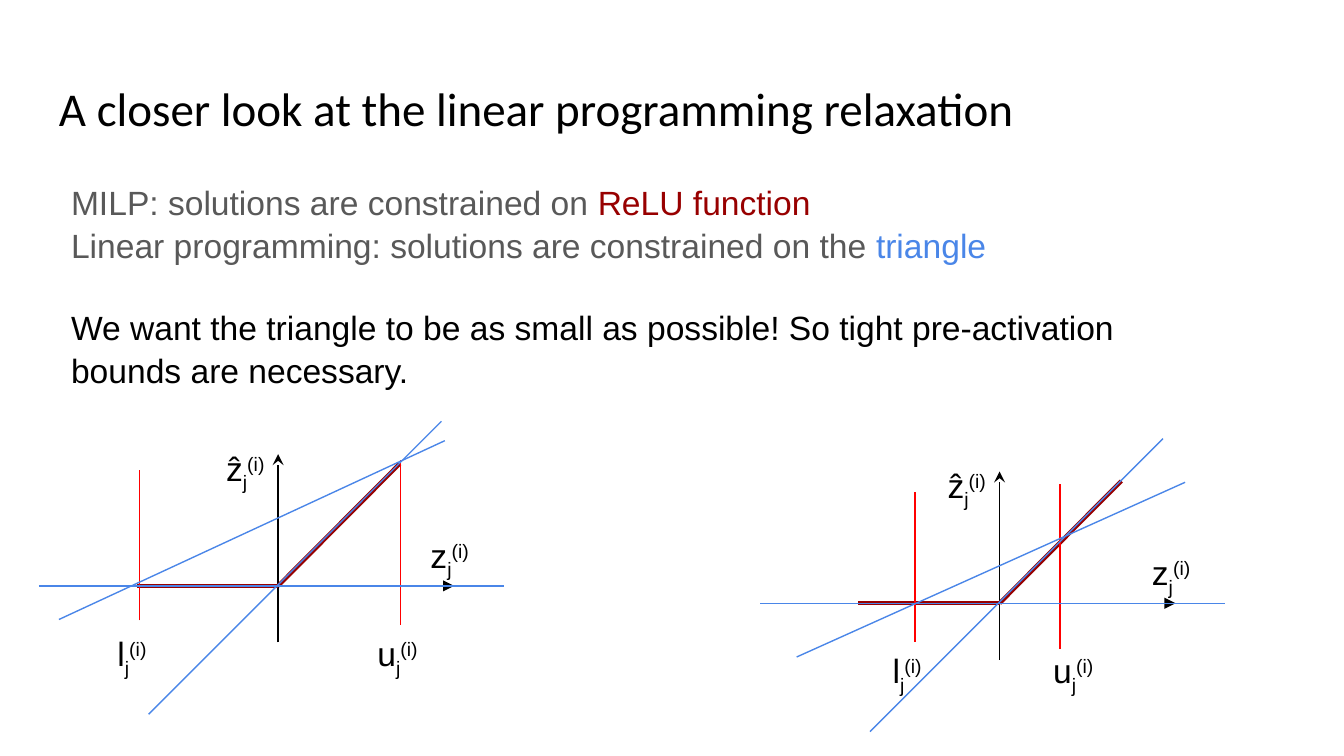
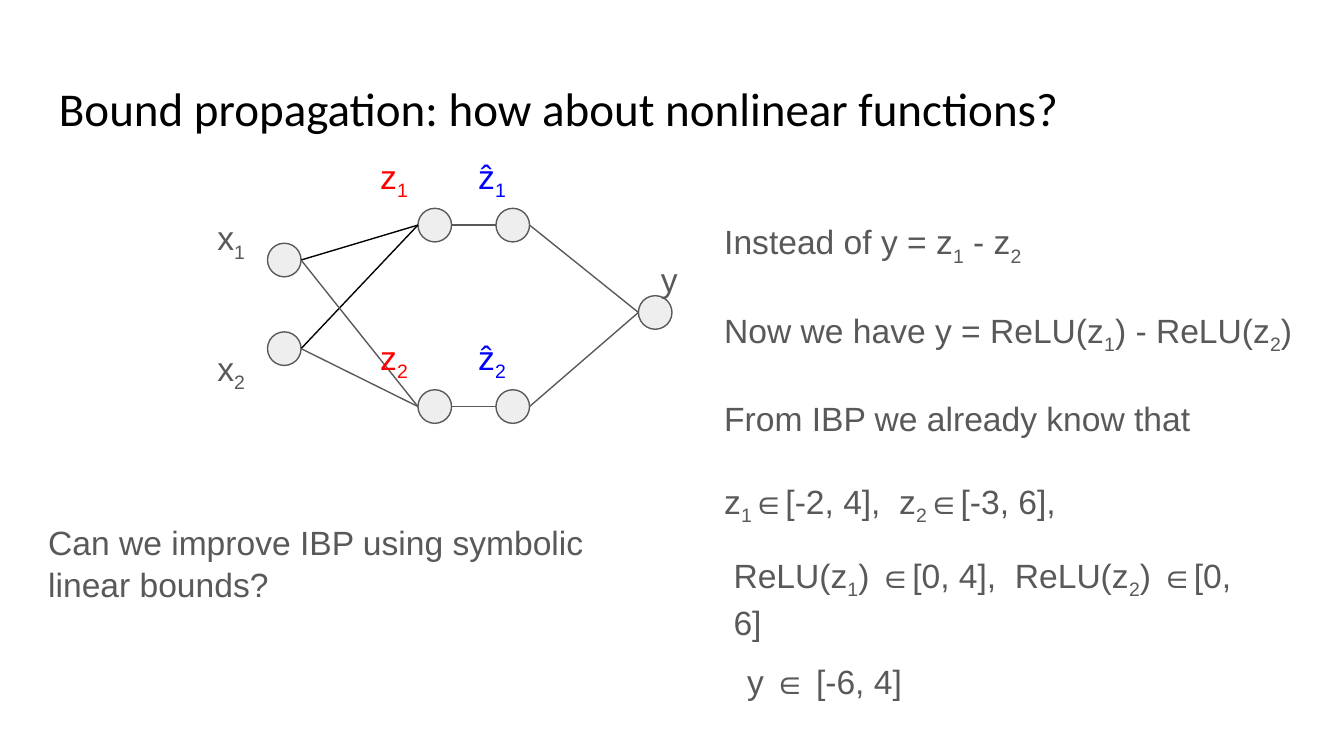
from dataclasses import dataclass
from typing import NamedTuple

from lxml import etree
from pptx import Presentation
from pptx.dml.color import RGBColor
from pptx.enum import shapes, text
from pptx.oxml import ns
from pptx.util import Pt


# Theme
@dataclass(frozen=True)
class Theme:
    black: str = "000000"
    grey: str = "595959"
    node: str = "EEEEEE"
    dark_red: str = "980000"
    red: str = "FF0000"
    sky: str = "4A86E8"
    blue: str = "0000FF"
    title_font: str = "Calibri"
    body_font: str = "Arial"
    title_size: float = 25.2
    body_size: float = 18
    inset: float = 7.2
    thin: float = 0.75
    thick: float = 2.25
    body_spacing: float = 1.05
    label_spacing: float = 1.15
    gap: float = 21.6


T = Theme()
SUB, SUPER = -25000, 30000


class Run(NamedTuple):
    text: str
    color: str = T.grey
    base: int = 0


class Box(NamedTuple):
    x: float
    y: float
    w: float
    h: float


class Point(NamedTuple):
    x: float
    y: float


@dataclass(frozen=True)
class Para:
    runs: list[Run]
    before: float = 0
    after: float = 0
    spacing: float = T.body_spacing


# Text with subscripts: every second part is lowered
def subscripted(*parts: str, color: str = T.grey) -> list[Run]:
    return [Run(part, color, SUB if i % 2 else 0) for i, part in enumerate(parts)]


def indexed(symbol: str) -> list[Run]:
    return [Run(symbol, T.black), Run("j", T.black, SUB), Run("(i)", T.black, SUPER)]


# Drawing helpers
def apply(target, values: dict) -> None:
    for name, value in values.items():
        setattr(target, name, value)


def add_text(s, box: Box, paras: list[Para], font: str = T.body_font,
             size: float = T.body_size) -> None:
    tf = s.shapes.add_textbox(*map(Pt, box)).text_frame
    apply(tf, dict.fromkeys(
        ("margin_left", "margin_top", "margin_right", "margin_bottom"), Pt(T.inset)))
    apply(tf, {"word_wrap": True, "vertical_anchor": text.MSO_ANCHOR.TOP})
    for i, para in enumerate(paras):
        p = tf.add_paragraph() if i else tf.paragraphs[0]
        apply(p, {"space_before": Pt(para.before), "space_after": Pt(para.after),
                  "line_spacing": para.spacing})
        for run in para.runs:
            r = p.add_run()
            r.text = run.text
            apply(r.font, {"name": font, "size": Pt(size)})
            r.font.color.rgb = RGBColor.from_string(run.color)
            if run.base:
                r.font._element.set("baseline", str(run.base))


def add_line(s, start: Point, end: Point, color: str, width: float = T.thin,
             arrow: str = "") -> None:
    sp = s.shapes.add_connector(shapes.MSO_CONNECTOR.STRAIGHT, *map(Pt, start + end))
    sp.line.width = Pt(width)
    sp.line.color.rgb = RGBColor.from_string(color)
    if arrow:
        etree.SubElement(sp.line._get_or_add_ln(), ns.qn("a:tailEnd"), type=arrow)
    etree.SubElement(sp._element.spPr, ns.qn("a:effectLst"))


def add_title_slide(prs, title: str):
    s = prs.slides.add_slide(prs.slide_layouts[6])
    add_text(s, Box(24.5, 35.3, 671, 45.4), [Para([Run(title, T.black)], spacing=1.0)],
             T.title_font, T.title_size)
    return s


# ReLU plots: offsets are measured from the origin of the axes
@dataclass(frozen=True)
class Plot:
    origin: Point
    lower: float
    upper: float
    lower_top: float
    upper_top: float
    upper_label: float
    chord: tuple[Point, Point]


LOWER_LENGTH, UPPER_LENGTH = 80.4, 88.6
PLOTS = [
    Plot(Point(149, 313.9), -74.2, 65.5, -61.9, -67.7, 46.1,
         (Point(-117.4, 18), Point(89.3, -77.8))),
    Plot(Point(535.5, 323.2), -45.4, 32.4, -59.8, -64.1, 21.6,
         (Point(-108.7, 28.8), Point(99.4, -64.8))),
]


def add_plot(s, plot: Plot) -> None:
    def line(start: tuple, end: tuple, *style) -> None:
        ends = [Point(plot.origin.x + x, plot.origin.y + y) for x, y in (start, end)]
        add_line(s, *ends, *style)

    # Axes and the ReLU function
    line((-93, 0), (94.3, 0), T.black, T.thin, "triangle")
    line((0, 30.2), (0, -70.6), T.black, T.thin, "stealth")
    line((-75.6, 0), (0, 0), T.dark_red, T.thick)
    line((0, 0), (65.2, -65.5), T.dark_red, T.thick)

    # Pre-activation bounds
    for x, top, length in ((plot.lower, plot.lower_top, LOWER_LENGTH),
                           (plot.upper, plot.upper_top, UPPER_LENGTH)):
        line((x, top + length), (x, top), T.red)

    # Labels
    for symbol, x, y in (("ẑ", -35, -85), ("z", 74.5, -38.2),
                         ("l", plot.lower - 19, 14.4), ("u", plot.upper_label, 14.4)):
        add_text(s, Box(plot.origin.x + x, plot.origin.y + y, 38, 36),
                 [Para(indexed(symbol), after=12, spacing=T.label_spacing)])

    # Sides of the triangle
    line((-128.2, 0), (121, 0), T.sky)
    line((-69.4, 68.8), (87.5, -88.2), T.sky)
    line(*plot.chord, T.sky)


def build_relaxation(prs) -> None:
    s = add_title_slide(prs, "A closer look at the linear programming relaxation")
    add_text(s, Box(31, 89.3, 602.6, 65.5), [
        Para([Run("MILP: solutions are constrained on "),
              Run("ReLU function", T.dark_red)]),
        Para([Run("Linear programming: solutions are constrained on the "),
              Run("triangle", T.sky)]),
        Para([Run("We want the triangle to be as small as possible! So tight "
                  "pre-activation bounds are necessary.", T.black)], before=T.gap),
    ])
    for plot in PLOTS:
        add_plot(s, plot)


# Network: top left corners of the nodes
NODE = 18
NODES = {
    "x1": Point(143.3, 130.3), "x2": Point(143.3, 177.8),
    "z1": Point(223.9, 111.6), "z2": Point(223.9, 208.8),
    "ẑ1": Point(265.7, 111.6), "ẑ2": Point(265.7, 208.8),
    "y": Point(342, 158.4),
}
EDGES = [
    ("x1", "z1", T.black), ("x2", "z1", T.black),
    ("x2", "z2", T.grey), ("x1", "z2", T.grey),
    ("z1", "ẑ1", T.grey), ("z2", "ẑ2", T.grey),
    ("ẑ1", "y", T.grey), ("ẑ2", "y", T.grey),
]
LABELS = [
    ("x", T.grey, 109.4, (108, 177.8)),
    ("z", T.red, 196.6, (74.9, 172.1)),
    ("ẑ", T.blue, 249.1, (74.9, 172.1)),
]


def add_network(s) -> None:
    for x, y in NODES.values():
        sp = s.shapes.add_shape(shapes.MSO_SHAPE.OVAL, *map(Pt, (x, y, NODE, NODE)))
        sp.shadow.inherit = False
        sp.fill.solid()
        sp.fill.fore_color.rgb = RGBColor.from_string(T.node)
        sp.line.width = Pt(T.thin)
        sp.line.color.rgb = RGBColor.from_string(T.grey)
    for source, target, color in EDGES:
        a, b = NODES[source], NODES[target]
        add_line(s, Point(a.x + NODE, a.y + NODE / 2), Point(b.x, b.y + NODE / 2), color)
    for symbol, color, x, tops in LABELS:
        for i, top in enumerate(tops, 1):
            add_text(s, Box(x, top, 40, 40),
                     [Para(subscripted(symbol, str(i), color=color))])
    add_text(s, Box(347, 130.3, 38.9, 36.7), [Para([Run("y")])])


def build_propagation(prs) -> None:
    s = add_title_slide(prs, "Bound propagation: how about nonlinear functions?")
    add_network(s)

    # Derivation
    steps = [
        ("Instead of y = z", "1", " - z", "2"),
        ("Now we have y = ReLU(z", "1", ") - ReLU(z", "2", ")"),
        ("From IBP we already know that",),
        ("z", "1", "∈[-2, 4],  z", "2", "∈[-3, 6],"),
    ]
    add_text(s, Box(380.9, 110.2, 334.8, 167.8),
             [Para(subscripted(*step), before=T.gap if i else 0)
              for i, step in enumerate(steps)])
    add_text(s, Box(385.9, 288.7, 299.5, 36), [Para(subscripted(
        "ReLU(z", "1", ") ∈[0, 4],  ReLU(z", "2", ") ∈[0, 6]"))])
    add_text(s, Box(393.1, 345.6, 236.2, 36), [Para([Run("y ∈ [-6, 4]")])])

    # Question
    add_text(s, Box(18.7, 271.4, 318.2, 73.4),
             [Para([Run("Can we improve IBP using symbolic linear bounds?")])])


def main() -> None:
    prs = Presentation()
    apply(prs, {"slide_width": Pt(720), "slide_height": Pt(405)})
    build_relaxation(prs)
    build_propagation(prs)
    prs.save("out.pptx")


if __name__ == "__main__":
    main()
